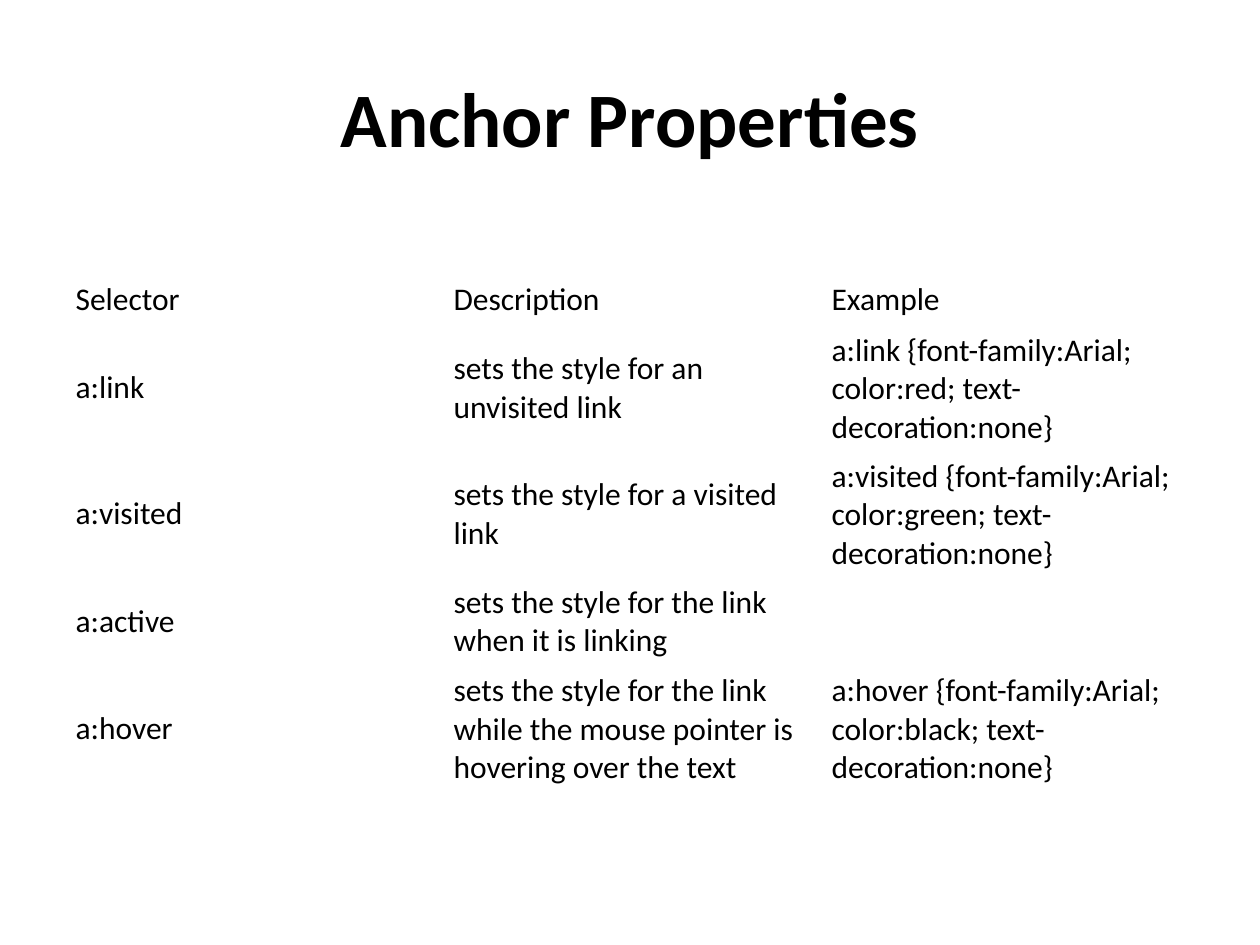
from pptx import Presentation
from pptx.dml.color import RGBColor
from pptx.enum import text
from pptx.util import Inches, Pt


def style(paragraph, size, color, bold=False):
    font = paragraph.font
    font.name = "Calibri"
    font.size = Pt(size)
    font.bold = bold
    font.color.rgb = RGBColor.from_string(color)


deck = Presentation()
deck.slide_width = Inches(10)
deck.slide_height = Inches(7.5)
slide = deck.slides.add_slide(deck.slide_layouts[6])

heading = slide.shapes.add_textbox(Inches(0.5), Inches(0.3), Inches(9), Inches(1.25)).text_frame
heading.word_wrap = True
heading.vertical_anchor = text.MSO_ANCHOR.MIDDLE
heading.text = "Anchor Properties"
heading.paragraphs[0].alignment = text.PP_ALIGN.CENTER
style(heading.paragraphs[0], 44, "000000", bold=True)

selectors = [
    (0.4, "Selector", "Description", "Example"),
    (1, "a:link", "sets the style for an unvisited link",
     "a:link {font-family:Arial; color:red; text-decoration:none}"),
    (1, "a:visited", "sets the style for a visited link",
     "a:visited {font-family:Arial; color:green; text-decoration:none}"),
    (0.7, "a:active", "sets the style for the link when it is linking", ""),
    (1, "a:hover", "sets the style for the link while the mouse pointer is hovering over the text",
     "a:hover {font-family:Arial; color:black; text-decoration:none}"),
]

properties = slide.shapes.add_table(
    len(selectors), 3, Inches(0.5), Inches(2.18), Inches(9), Inches(4.1)).table
properties.first_row = False
properties.horz_banding = False
for row, (height, *entries) in zip(properties.rows, selectors):
    row.height = Inches(height)
    for cell, entry in zip(row.cells, entries):
        cell.fill.background()
        cell.vertical_anchor = text.MSO_ANCHOR.MIDDLE
        cell.text = entry
        style(cell.text_frame.paragraphs[0], 18, "000000")

deck.save("out.pptx")
